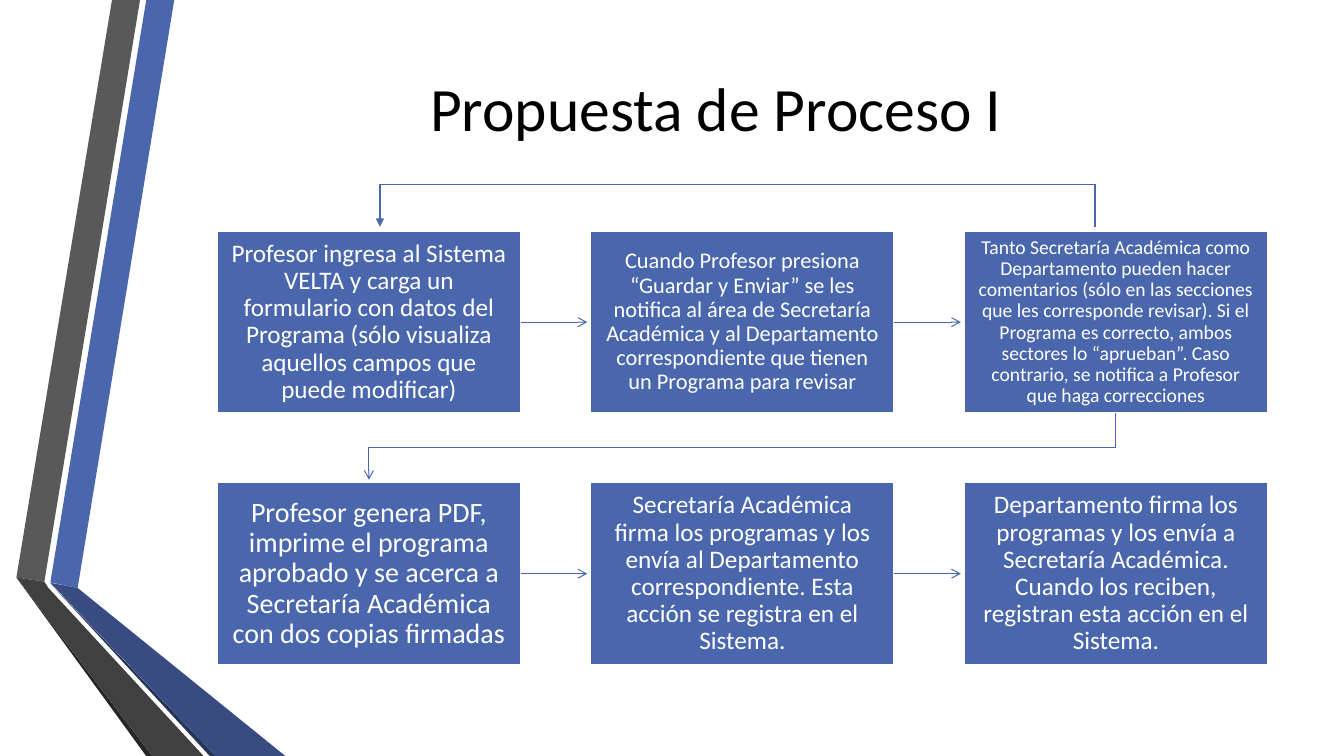
from lxml.etree import SubElement
from pptx import Presentation
from pptx.dml.color import RGBColor
from pptx.enum.shapes import MSO_CONNECTOR as Connector, MSO_SHAPE as Shape
from pptx.enum.text import MSO_ANCHOR as Anchor, MSO_AUTO_SIZE as AutoSize, PP_ALIGN as Align
from pptx.oxml.ns import qn
from pptx.util import Pt

FONT = "Calibri"
BLUE, WHITE, BLACK = "4A66AC", "FFFFFF", "000000"
BOX_LEFT, BOX_TOP, BOX_WIDTH, BOX_HEIGHT = 155, 165, 217, 130.2
COLUMN_STEP, ROW_STEP = 266.8, 179.7
COLUMNS = 3
ARROW_LENGTH = 47.5
INSET_PER_FONT_POINT = 0.56

RIBBONS = [
    (BLUE, [(36, 416), (55.5, 420), (124.5, 0), (104.5, 0)]),
    ("595959", [(100, 0), (80, 0), (11.7, 412.5), (31.7, 415.5)]),
    ("262626", [(11.7, 412.5), (104.4, 540), (108.7, 540)]),
    ("253356", [(36, 416.8), (149.8, 540), (154, 540)]),
    ("384C81", [(36, 416.3), (154, 540), (203.8, 540), (55.5, 420)]),
    ("404040", [(145.4, 540), (34.6, 420), (31.7, 415.5), (11.7, 412.5), (108.7, 540)]),
]

STEPS = [
    (18, "Profesor ingresa al Sistema VELTA y carga un formulario con datos del Programa "
         "(sólo visualiza aquellos campos que puede modificar)"),
    (16, "Cuando Profesor presiona “Guardar y Enviar” se les notifica al área de Secretaría "
         "Académica y al Departamento correspondiente que tienen un Programa para revisar"),
    (14, "Tanto Secretaría Académica como Departamento pueden hacer comentarios (sólo en las "
         "secciones que les corresponde revisar). Si el Programa es correcto, ambos sectores lo "
         "“aprueban”. Caso contrario, se notifica a Profesor que haga correcciones"),
    (20, "Profesor genera PDF, imprime el programa aprobado y se acerca a Secretaría Académica "
         "con dos copias firmadas"),
    (18, "Secretaría Académica firma los programas y los envía al Departamento correspondiente. "
         "Esta acción se registra en el Sistema."),
    (18, "Departamento firma los programas y los envía a Secretaría Académica. Cuando los "
         "reciben, registran esta acción en el Sistema."),
]


def color(value):
    """Turn a hex string into a colour."""
    return RGBColor.from_string(value)


def set_line(shape, width, head=None):
    """Draw a blue line, with an arrowhead at its end if one is named."""
    shape.line.color.rgb = color(BLUE)
    shape.line.width = Pt(width)
    if head:
        SubElement(shape.element.spPr.find(qn("a:ln")), qn("a:tailEnd"), type=head)


def add_outline(slide, points, close):
    """Build a shape through the given points."""
    start, *rest = [(Pt(x), Pt(y)) for x, y in points]
    builder = slide.shapes.build_freeform(*start)
    builder.add_line_segments(rest, close=close)
    shape = builder.convert_to_shape()
    shape.shadow.inherit = False
    return shape


def add_ribbon(slide, fill, points):
    """Add one filled band of the side decoration."""
    shape = add_outline(slide, points, close=True)
    shape.fill.solid()
    shape.fill.fore_color.rgb = color(fill)
    shape.line.fill.background()


def add_elbow(slide, points):
    """Add a bent arrow through the given points."""
    shape = add_outline(slide, points, close=False)
    shape.fill.background()
    set_line(shape, 0.75, "arrow")


def add_line(slide, start, end, width, head=None):
    """Add a straight connector between two points."""
    ends = [Pt(value) for value in (*start, *end)]
    connector = slide.shapes.add_connector(Connector.STRAIGHT, *ends)
    set_line(connector, width, head)
    SubElement(connector.element.spPr, qn("a:effectLst"))


def format_paragraph(paragraph, size, text_color):
    """Centre a paragraph and set its font."""
    paragraph.alignment = Align.CENTER
    paragraph.font.name = FONT
    paragraph.font.size = Pt(size)
    paragraph.font.color.rgb = color(text_color)


def add_title(slide, text):
    """Place and format the title placeholder."""
    title = slide.shapes.title
    title.left, title.top, title.width, title.height = Pt(117), Pt(7), Pt(789), Pt(138)
    frame = title.text_frame
    frame.text = text
    frame.auto_size = AutoSize.NONE
    frame.vertical_anchor = Anchor.MIDDLE
    format_paragraph(frame.paragraphs[0], 44, BLACK)


def add_step(slide, left, top, size, text):
    """Add one process box with its text."""
    box = slide.shapes.add_shape(Shape.RECTANGLE, Pt(left), Pt(top), Pt(BOX_WIDTH), Pt(BOX_HEIGHT))
    box.shadow.inherit = False
    box.fill.solid()
    box.fill.fore_color.rgb = color(BLUE)
    box.line.color.rgb = color(WHITE)
    box.line.width = Pt(1.25)
    frame = box.text_frame
    frame.text = text
    frame.word_wrap = True
    frame.vertical_anchor = Anchor.MIDDLE
    inset = Pt(size * INSET_PER_FONT_POINT)
    frame.margin_left = frame.margin_right = frame.margin_top = frame.margin_bottom = inset
    paragraph = frame.paragraphs[0]
    paragraph.line_spacing = 0.9
    format_paragraph(paragraph, size, WHITE)


def add_process(slide):
    """Lay the steps out in a grid, with an arrow between neighbours."""
    for index, (size, text) in enumerate(STEPS):
        row, column = divmod(index, COLUMNS)
        left, top = BOX_LEFT + column * COLUMN_STEP, BOX_TOP + row * ROW_STEP
        add_step(slide, left, top, size, text)
        if column < COLUMNS - 1:
            right, middle = left + BOX_WIDTH, top + BOX_HEIGHT / 2
            add_line(slide, (right, middle), (right + ARROW_LENGTH, middle), 0.75, "arrow")


def add_feedback(slide):
    """Add the return path from the third step to the first."""
    left, right, top, bottom = 271.4, 782, 131.8, 162
    add_line(slide, (right, bottom), (right, top), 1.25)
    add_line(slide, (right, top), (left, top), 1.25)
    add_line(slide, (left, top), (left, bottom), 1.25, "triangle")


def main():
    """Build the slide and save it."""
    presentation = Presentation()
    presentation.slide_width, presentation.slide_height = Pt(960), Pt(540)
    slide = presentation.slides.add_slide(presentation.slide_layouts[5])
    for fill, points in RIBBONS:
        add_ribbon(slide, fill, points)
    add_title(slide, "Propuesta de Proceso I")
    add_process(slide)
    add_elbow(slide, [(796.6, 295.2), (796.6, 319.4), (263.5, 319.4), (263.5, 342.7)])
    add_feedback(slide)
    presentation.save("out.pptx")


main()
